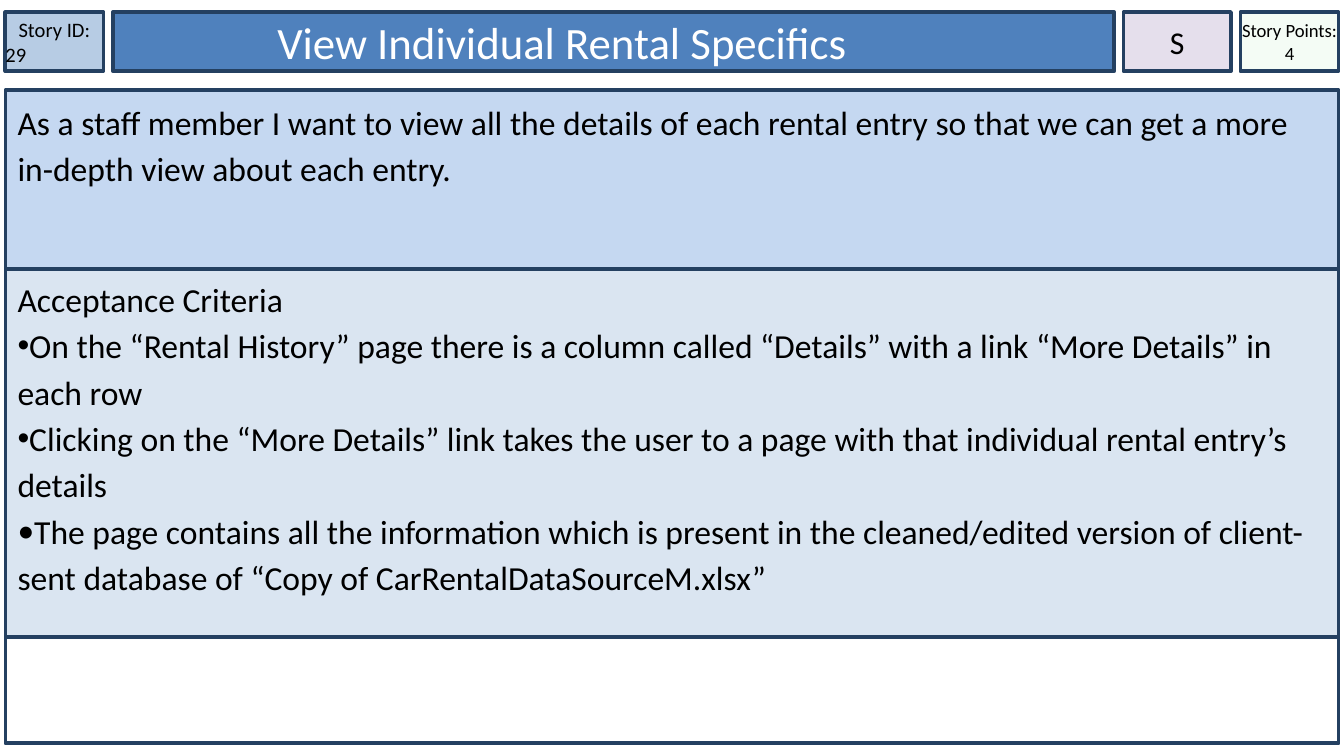
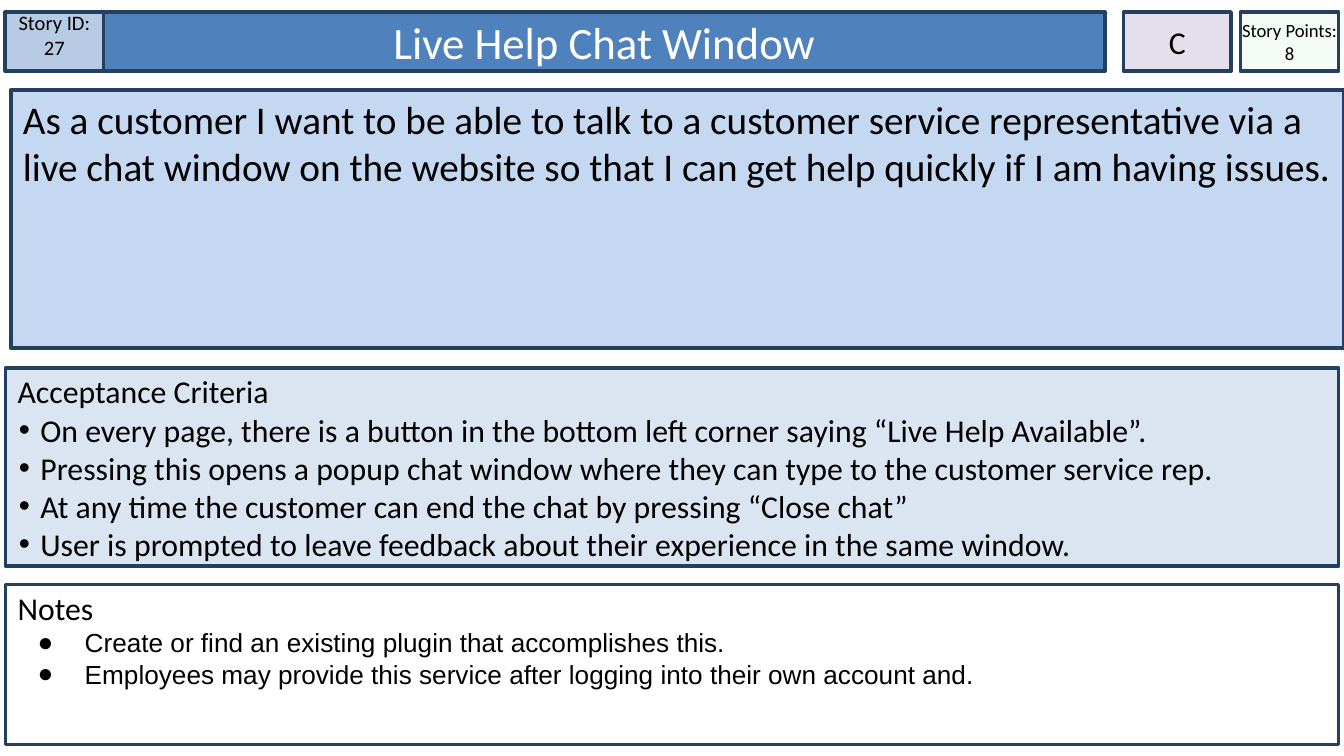
from dataclasses import dataclass

from lxml.etree import SubElement
from pptx import Presentation
from pptx.dml.color import RGBColor
from pptx.enum.shapes import MSO_SHAPE
from pptx.enum.text import MSO_ANCHOR, PP_ALIGN
from pptx.oxml.ns import qn
from pptx.slide import Slide
from pptx.text.text import _Paragraph
from pptx.util import Inches, Pt


@dataclass(frozen=True)
class Theme:
    outline: str = "244061"
    identifier: str = "B7CCE4"
    title: str = "4F81BD"
    story: str = "C5D8F1"
    criteria: str = "DAE5F1"
    points: str = "CCF0CD"
    priority: str = "E5DFEC"
    paper: str = "FFFFFF"
    ink: str = "000000"
    font: str = "Calibri"
    note_font: str = "Arial"
    title_size: int = 24
    story_size: int = 21
    text_size: int = 18
    label_size: int = 17
    note_size: int = 14
    identifier_size: int = 11
    points_size: int = 10
    line_width: int = 2


THEME = Theme()
PAGE_WIDTH = 10
PAGE_HEIGHT = PAGE_WIDTH * 9 / 16
LEFT, WIDTH = 0.04, 9.92
HEADER_TOP, HEADER_HEIGHT = 0.09, 0.44
SMALL_WIDTH, TITLE_WIDTH = 0.73, 7.45
HEADER_INSETS = (0, 0.04, 0, 0.04)
PANEL_INSETS = (0.09, 0.04, 0.09, 0.04)
LIST_INSETS = (0.09, 0.03, 0.09, 0.04)


@dataclass(frozen=True)
class Bullet:
    symbol: str = "•"
    margin: float = 0
    indent: float = 0
    font: str = THEME.note_font


@dataclass(frozen=True)
class Para:
    text: str
    size: int
    align: PP_ALIGN = PP_ALIGN.LEFT
    font: str = THEME.font
    color: str = THEME.ink
    spacing: float = 1.0
    bullet: Bullet | None = None


@dataclass(frozen=True)
class Box:
    left: float
    top: float
    width: float
    height: float
    fill: str
    paras: tuple[Para, ...] = ()
    insets: tuple[float, float, float, float] = PANEL_INSETS
    anchor: MSO_ANCHOR = MSO_ANCHOR.TOP
    opacity: int = 100


@dataclass(frozen=True)
class StoryCard:
    identifier: str
    identifier_align: PP_ALIGN
    identifier_bottom: float
    title: str
    title_left: float
    title_right_inset: float
    priority: str
    points: int
    panels: tuple[Box, ...]


def add_bullet(para: _Paragraph, bullet: Bullet) -> None:
    properties = para._p.get_or_add_pPr()
    properties.set("marL", str(Inches(bullet.margin)))
    properties.set("indent", str(Inches(bullet.indent)))
    color = SubElement(properties, qn("a:buClr"))
    SubElement(color, qn("a:srgbClr"), val=THEME.ink)
    SubElement(properties, qn("a:buFont"), typeface=bullet.font)
    SubElement(properties, qn("a:buChar"), char=bullet.symbol)


def write_para(para: _Paragraph, content: Para) -> None:
    para.text = content.text
    para.alignment = content.align
    para.line_spacing = content.spacing
    if content.bullet:
        add_bullet(para, content.bullet)
    para.font.name = content.font
    para.font.size = Pt(content.size)
    para.font.color.rgb = RGBColor.from_string(content.color)


def draw_box(page: Slide, box: Box) -> None:
    shape = page.shapes.add_shape(
        MSO_SHAPE.RECTANGLE,
        Inches(box.left), Inches(box.top), Inches(box.width), Inches(box.height),
    )
    shape.shadow.inherit = False
    shape.fill.solid()
    shape.fill.fore_color.rgb = RGBColor.from_string(box.fill)
    if box.opacity < 100:
        color = shape._element.spPr.find(qn("a:solidFill"))[0]
        SubElement(color, qn("a:alpha"), val=str(box.opacity * 1000))
    shape.line.color.rgb = RGBColor.from_string(THEME.outline)
    shape.line.width = Pt(THEME.line_width)

    frame = shape.text_frame
    frame.word_wrap = True
    frame.vertical_anchor = box.anchor
    frame.margin_left, frame.margin_top, frame.margin_right, frame.margin_bottom = map(
        Inches, box.insets
    )
    for index, content in enumerate(box.paras):
        para = frame.add_paragraph() if index else frame.paragraphs[0]
        write_para(para, content)


def header_box(
    left: float,
    width: float,
    fill: str,
    *paras: Para,
    insets: tuple[float, float, float, float] = HEADER_INSETS,
    opacity: int = 100,
) -> Box:
    return Box(left, HEADER_TOP, width, HEADER_HEIGHT, fill, paras, insets,
               MSO_ANCHOR.MIDDLE, opacity)


def draw_card(page: Slide, card: StoryCard) -> None:
    center = PP_ALIGN.CENTER
    boxes = (
        header_box(
            LEFT, SMALL_WIDTH, THEME.identifier,
            Para("Story ID:", THEME.identifier_size, center),
            Para(card.identifier, THEME.identifier_size, card.identifier_align),
            insets=(0, 0.04, 0, card.identifier_bottom),
        ),
        header_box(
            card.title_left, TITLE_WIDTH, THEME.title,
            Para(card.title, THEME.title_size, center, color=THEME.paper),
            insets=(0.09, 0.04, card.title_right_inset, 0.04),
        ),
        *card.panels,
        header_box(
            9.23, SMALL_WIDTH, THEME.points,
            Para(f"Story Points: {card.points}", THEME.points_size, center),
            opacity=20,
        ),
        header_box(
            8.36, 0.8, THEME.priority, Para(card.priority, THEME.label_size, center)
        ),
    )
    for box in boxes:
        draw_box(page, box)


def listing(
    heading: Para, items: tuple[str, ...], bullet: Bullet, size: int, font: str = THEME.font
) -> tuple[Para, ...]:
    return heading, *(
        Para(item, size, font=font, spacing=heading.spacing, bullet=bullet)
        for item in items
    )


RENTAL_CARD = StoryCard(
    identifier="29",
    identifier_align=PP_ALIGN.LEFT,
    identifier_bottom=0.04,
    title="View Individual Rental Specifics",
    title_left=0.84,
    title_right_inset=0.86,
    priority="S",
    points=4,
    panels=(
        Box(LEFT, 0.67, WIDTH, 1.33, THEME.story, (
            Para(
                "As a staff member I want to view all the details of each rental entry "
                "so that we can get a more in-depth view about each entry.",
                THEME.text_size, spacing=1.15,
            ),
        )),
        Box(LEFT, 2, WIDTH, 2.74, THEME.criteria, (
            *listing(
                Para("Acceptance Criteria", THEME.text_size, spacing=1.15),
                (
                    "On the “Rental History” page there is a column called “Details” "
                    "with a link “More Details” in each row",
                    "Clicking on the “More Details” link takes the user to a page with "
                    "that individual rental entry’s details",
                ),
                Bullet(), THEME.text_size,
            ),
            Para(
                "The page contains all the information which is present in the "
                "cleaned/edited version of client-sent database of "
                "“Copy of CarRentalDataSourceM.xlsx”",
                THEME.text_size, spacing=1.15, bullet=Bullet(font=THEME.font),
            ),
        ), LIST_INSETS),
        Box(LEFT, 4.74, WIDTH, 0.79, THEME.paper),
    ),
)

CHAT_CARD = StoryCard(
    identifier="27",
    identifier_align=PP_ALIGN.CENTER,
    identifier_bottom=0.14,
    title="Live Help Chat Window",
    title_left=0.77,
    title_right_inset=0.09,
    priority="C",
    points=8,
    panels=(
        Box(0.08, 0.67, WIDTH, 1.92, THEME.story, (
            Para(
                "As a customer I want to be able to talk to a customer service "
                "representative via a live chat window on the website so that I can "
                "get help quickly if I am having issues.",
                THEME.story_size,
            ),
        )),
        Box(LEFT, 2.74, WIDTH, 1.47, THEME.criteria, listing(
            Para("Acceptance Criteria", THEME.label_size),
            (
                "On every page, there is a button in the bottom left corner saying "
                "“Live Help Available”.",
                "Pressing this opens a popup chat window where they can type to the "
                "customer service rep.",
                "At any time the customer can end the chat by pressing “Close chat”",
                "User is prompted to leave feedback about their experience in the "
                "same window.",
            ),
            Bullet(margin=0.17, indent=-0.16), THEME.label_size,
        ), LIST_INSETS),
        Box(LEFT, 4.35, WIDTH, 1.19, THEME.paper, listing(
            Para("Notes", THEME.label_size),
            (
                "Create or find an existing plugin that accomplishes this.",
                "Employees may provide this service after logging into their own "
                "account and.",
            ),
            Bullet("●", 0.5, -0.35), THEME.note_size, THEME.note_font,
        ), LIST_INSETS),
    ),
)


def main() -> None:
    deck = Presentation()
    deck.slide_width = Inches(PAGE_WIDTH)
    deck.slide_height = Inches(PAGE_HEIGHT)
    for card in (RENTAL_CARD, CHAT_CARD):
        draw_card(deck.slides.add_slide(deck.slide_layouts[6]), card)
    deck.save("out.pptx")


if __name__ == "__main__":
    main()
